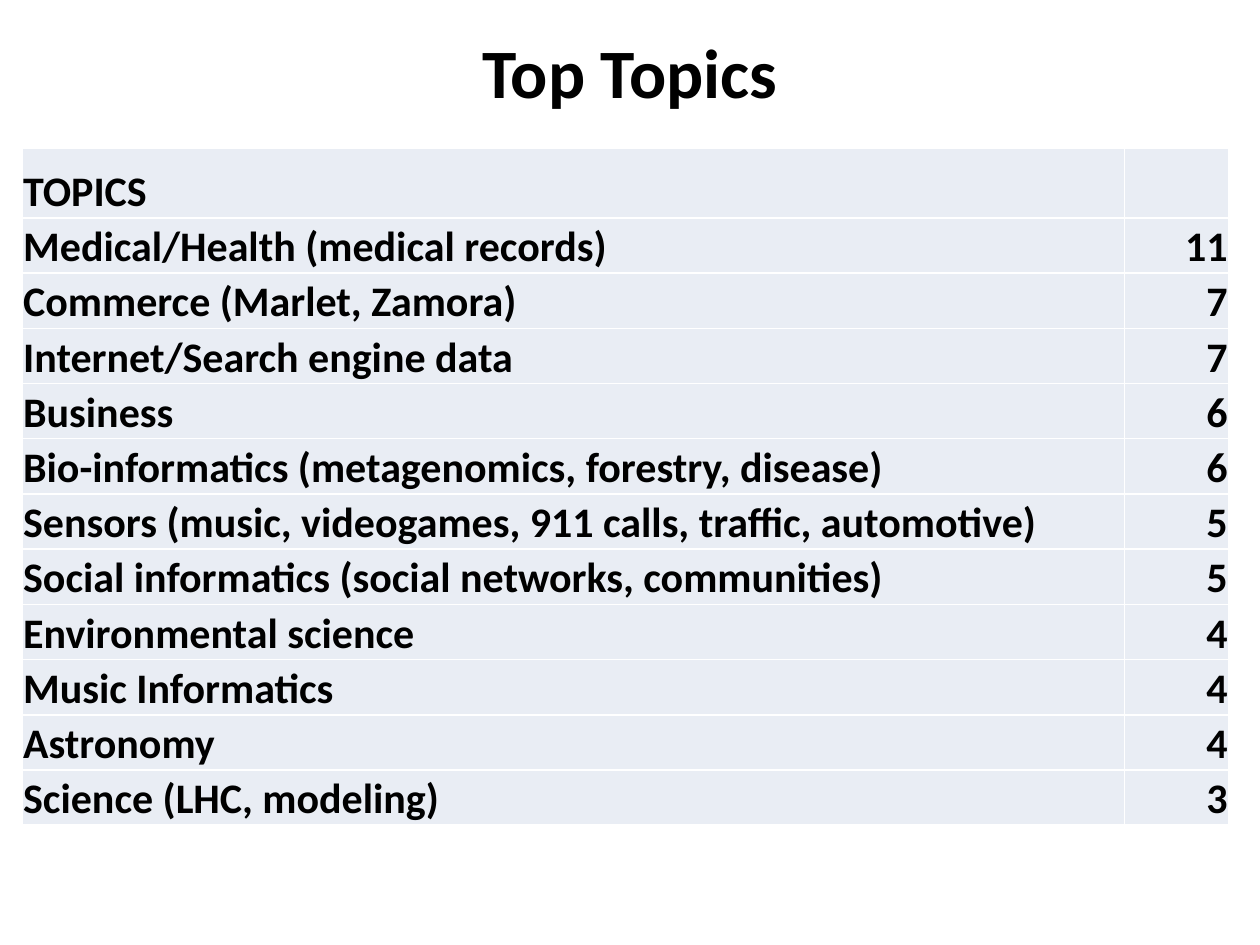
from lxml.etree import SubElement
from pptx import Presentation
from pptx.dml.color import RGBColor
from pptx.enum.text import MSO_ANCHOR, PP_ALIGN
from pptx.oxml.ns import qn
from pptx.util import Pt

BLACK = RGBColor(0x00, 0x00, 0x00)
WHITE = RGBColor(0xFF, 0xFF, 0xFF)
PALE_BLUE = RGBColor(0xE9, 0xED, 0xF4)
FONT = "Calibri"

TOPIC_COUNTS = [
    ("TOPICS", ""),
    ("Medical/Health (medical records)", "11"),
    ("Commerce (Marlet, Zamora)", "7"),
    ("Internet/Search engine data", "7"),
    ("Business", "6"),
    ("Bio-informatics (metagenomics, forestry, disease)", "6"),
    ("Sensors (music, videogames, 911 calls, traffic, automotive)", "5"),
    ("Social informatics (social networks, communities)", "5"),
    ("Environmental science", "4"),
    ("Music Informatics", "4"),
    ("Astronomy", "4"),
    ("Science (LHC, modeling)", "3"),
]
COLUMN_WIDTHS = (630, 59.75)
COLUMN_ALIGNMENTS = (PP_ALIGN.LEFT, PP_ALIGN.RIGHT)
HEADER_HEIGHT = 40
ROW_HEIGHT = 31.57


def format_paragraph(paragraph, size, alignment):
    paragraph.alignment = alignment
    for run in paragraph.runs:
        run.font.name = FONT
        run.font.size = Pt(size)
        run.font.bold = True
        run.font.color.rgb = BLACK


def add_title(slide, title):
    title_box = slide.shapes.add_textbox(Pt(36), Pt(12), Pt(648), Pt(56.5))
    frame = title_box.text_frame
    frame.word_wrap = True
    frame.vertical_anchor = MSO_ANCHOR.MIDDLE
    frame.text = title
    format_paragraph(frame.paragraphs[0], 39.6, PP_ALIGN.CENTER)


def add_borders(cell):
    """Draw thin white lines on all four sides; call before setting the fill."""
    properties = cell._tc.get_or_add_tcPr()
    for side in ("lnL", "lnR", "lnT", "lnB"):
        line = SubElement(properties, qn(f"a:{side}"), w=str(Pt(1)))
        line_fill = SubElement(line, qn("a:solidFill"))
        SubElement(line_fill, qn("a:srgbClr"), val=str(WHITE))


def fill_cell(cell, text, alignment):
    cell.text = text
    cell.vertical_anchor = MSO_ANCHOR.BOTTOM
    cell.margin_left = cell.margin_right = cell.margin_top = Pt(0.75)
    cell.margin_bottom = Pt(0)
    format_paragraph(cell.text_frame.paragraphs[0], 24, alignment)
    add_borders(cell)
    cell.fill.solid()
    cell.fill.fore_color.rgb = PALE_BLUE


def add_topic_table(slide):
    heights = [HEADER_HEIGHT] + [ROW_HEIGHT] * (len(TOPIC_COUNTS) - 1)
    table = slide.shapes.add_table(
        len(heights), len(COLUMN_WIDTHS), Pt(12.5), Pt(84.5),
        Pt(sum(COLUMN_WIDTHS)), Pt(sum(heights)),
    ).table
    table.first_row = False
    table.horz_banding = False
    for column, width in zip(table.columns, COLUMN_WIDTHS):
        column.width = Pt(width)
    for row, height, texts in zip(table.rows, heights, TOPIC_COUNTS):
        row.height = Pt(height)
        for cell, text, alignment in zip(row.cells, texts, COLUMN_ALIGNMENTS):
            fill_cell(cell, text, alignment)


def main():
    presentation = Presentation()
    presentation.slide_width = Pt(720)
    presentation.slide_height = Pt(540)
    slide = presentation.slides.add_slide(presentation.slide_layouts[6])
    add_title(slide, "Top Topics")
    add_topic_table(slide)
    presentation.save("out.pptx")


if __name__ == "__main__":
    main()
